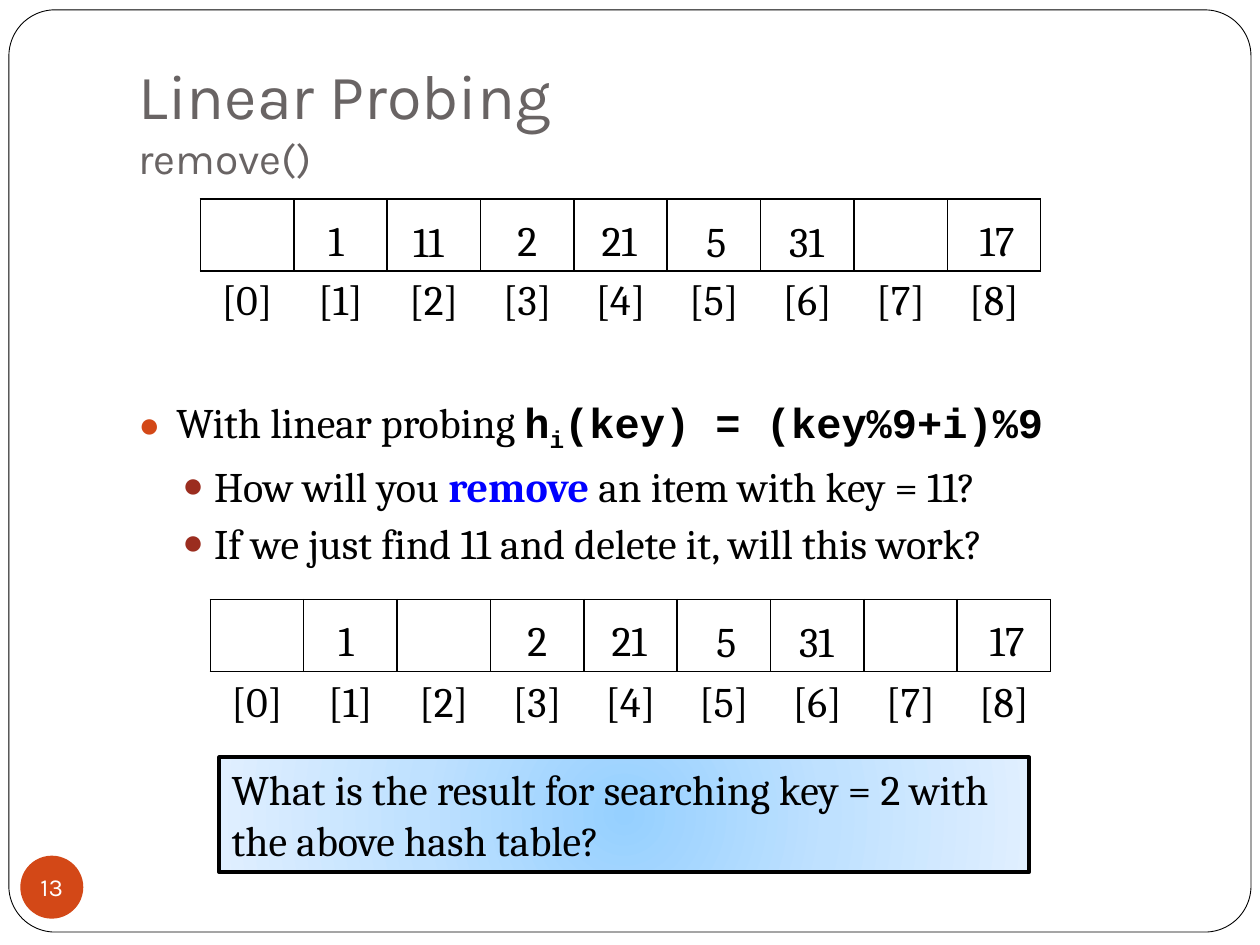
from typing import NamedTuple

from lxml.etree import SubElement
from pptx import Presentation
from pptx.dml.color import RGBColor
from pptx.enum.shapes import MSO_SHAPE
from pptx.enum.text import MSO_ANCHOR, MSO_AUTO_SIZE, PP_ALIGN
from pptx.oxml import parse_xml
from pptx.oxml.ns import nsdecls, qn
from pptx.util import Cm, Pt

COLORS = {
    "black": "000000", "white": "FFFFFF", "title": "696464", "accent": "D34817",
    "sub_bullet": "9B2D1F", "emphasis": "0000FF",
    "glow": "96D0FF", "glow_mid": "BFE1FF", "glow_edge": "E0EFFF",
}
BODY = {"name": "Cambria", "size": Pt(24), "bold": False}
CODE = {"name": "Courier New", "size": Pt(24), "bold": True}
STRONG = {**BODY, "bold": True}
TITLE = {"name": "Karla", "size": Pt(36)}
SUBTITLE = {**TITLE, "size": Pt(24.3)}
PAGE_NUMBER = {**TITLE, "size": Pt(14)}
NO_TABLE_STYLE = "{2D5ABB26-0587-4C30-8999-92F81FD0307C}"
SLOTS = 9
TABLE_WIDTH = 16.94


class Key(NamedTuple):
    """A stored key, placed in cm from the table's top left corner."""
    value: str
    left: float
    top: float


class HashTable(NamedTuple):
    left: float
    top: float
    keys: list[Key]


class Span(NamedTuple):
    text: str
    style: dict
    color: str = "black"
    subscript: bool = False


class Bullet(NamedTuple):
    margin: float
    hanging: float
    before: float
    color: str
    spans: list[Span]


KEYS = [
    Key("1", 2.33, 0.18), Key("11", 4.04, 0.2), Key("2", 6.14, 0.18),
    Key("21", 7.84, 0.18), Key("5", 9.95, 0.2), Key("31", 11.62, 0.2),
    Key("17", 15.46, 0.18),
]
TABLES = [
    HashTable(4.04, 4.01, KEYS),
    HashTable(4.24, 12.09, [key for key in KEYS if key.value != "11"]),
]
BULLETS = [
    Bullet(0.76, 0.76, 0, "accent", [
        Span("With linear probing ", BODY), Span("h", CODE),
        Span("i", CODE, subscript=True), Span("(key) = (key%9+i)%9", CODE)]),
    Bullet(1.52, 0.64, 3.7, "sub_bullet", [
        Span("How will you ", BODY), Span("remove", STRONG, "emphasis"),
        Span(" an item with key = 11?", BODY)]),
    Bullet(1.52, 0.64, 3.7, "sub_bullet", [
        Span("If we just find 11 and delete it, will this work?", BODY)]),
]


def rgb(name: str) -> RGBColor:
    return RGBColor.from_string(COLORS[name])


def apply(target, values: dict) -> None:
    for name, value in values.items():
        setattr(target, name, value)


def place(shape, left: float, top: float, width: float, height: float) -> None:
    apply(shape, {"left": Cm(left), "top": Cm(top),
                  "width": Cm(width), "height": Cm(height)})


def add_span(para, span: Span) -> None:
    run = para.add_run()
    run.text = span.text
    apply(run.font, span.style)
    run.font.color.rgb = rgb(span.color)
    if span.subscript:
        run.font._element.set("baseline", "-25000")


def add_shape(page, kind, box: tuple, fill: str, line_width: float = 0):
    shape = page.shapes.add_shape(kind, *map(Cm, box))
    shape.shadow.inherit = False
    shape.fill.solid()
    shape.fill.fore_color.rgb = rgb(fill)
    if line_width:
        shape.line.color.rgb = rgb("black")
        shape.line.width = Pt(line_width)
    else:
        shape.line.fill.background()
    return shape


def add_row(page, left: float, top: float, height: float):
    """Add a one-row table with a cell for each slot and no style."""
    frame = page.shapes.add_table(
        1, SLOTS, Cm(left), Cm(top), Cm(TABLE_WIDTH), Cm(height))
    table = frame.table
    apply(table, {"first_row": False, "horz_banding": False})
    table._tbl.tblPr.find(qn("a:tableStyleId")).text = NO_TABLE_STYLE
    for cell in table.iter_cells():
        cell.fill.background()
    return table


def add_borders(cell) -> None:
    properties = cell._tc.get_or_add_tcPr()
    for index, side in enumerate(("lnL", "lnR", "lnT", "lnB")):
        properties.insert(index, parse_xml(
            f'<a:{side} {nsdecls("a")} w="12700"><a:solidFill>'
            f'<a:srgbClr val="{COLORS["black"]}"/></a:solidFill></a:{side}>'))


def draw_hash_table(page, hash_table: HashTable) -> None:
    for cell in add_row(page, hash_table.left, hash_table.top, 1.45).iter_cells():
        add_borders(cell)
    labels = add_row(page, hash_table.left, hash_table.top + 1.46, 1.04)
    for index, cell in enumerate(labels.iter_cells()):
        cell.vertical_anchor = MSO_ANCHOR.MIDDLE
        para = cell.text_frame.paragraphs[0]
        para.alignment = PP_ALIGN.CENTER
        add_span(para, Span(f"[{index}]", BODY))
    for key in hash_table.keys:
        width = 0.91 if len(key.value) == 1 else 1.3
        box = page.shapes.add_textbox(
            Cm(hash_table.left + key.left), Cm(hash_table.top + key.top),
            Cm(width), Cm(1.27))
        apply(box.text_frame, {"word_wrap": False,
                               "auto_size": MSO_AUTO_SIZE.SHAPE_TO_FIT_TEXT})
        add_span(box.text_frame.paragraphs[0], Span(key.value, BODY))


def write_bullet(para, bullet: Bullet) -> None:
    para.space_before = Pt(bullet.before)
    properties = para._p.get_or_add_pPr()
    properties.set("marL", str(Cm(bullet.margin)))
    properties.set("indent", str(-Cm(bullet.hanging)))
    color = SubElement(properties, qn("a:buClr"))
    SubElement(color, qn("a:srgbClr"), val=COLORS[bullet.color])
    SubElement(properties, qn("a:buSzPct"), val="85000")
    SubElement(properties, qn("a:buFont"), typeface="Arial")
    SubElement(properties, qn("a:buChar"), char="●")
    for span in bullet.spans:
        add_span(para, span)


def write_title(title) -> None:
    place(title, 2.54, 0.76, 21.59, 3.18)
    apply(title.text_frame, {
        "vertical_anchor": MSO_ANCHOR.BOTTOM, "auto_size": MSO_AUTO_SIZE.NONE,
        "margin_bottom": Cm(0.25)})
    para = title.text_frame.paragraphs[0]
    para.alignment = PP_ALIGN.LEFT
    add_span(para, Span("Linear Probing", TITLE, "title"))
    para.add_line_break()
    add_span(para, Span("remove()", SUBTITLE, "title"))


def write_body(body) -> None:
    place(body, 2.54, 4.01, 21.59, 12.7)
    apply(body.text_frame, {"auto_size": MSO_AUTO_SIZE.NONE, "margin_top": Cm(3.98)})
    for index, bullet in enumerate(BULLETS):
        frame = body.text_frame
        write_bullet(frame.add_paragraph() if index else frame.paragraphs[0], bullet)


def add_page_number(page) -> None:
    badge = add_shape(page, MSO_SHAPE.OVAL, (0.41, 17.25, 1.27, 1.27), "accent")
    apply(badge.text_frame, {
        "word_wrap": False, "vertical_anchor": MSO_ANCHOR.MIDDLE,
        "margin_left": 0, "margin_right": 0, "margin_top": 0, "margin_bottom": 0})
    para = badge.text_frame.paragraphs[0]
    para.alignment = PP_ALIGN.CENTER
    add_span(para, Span("13", PAGE_NUMBER, "white"))


def add_question(page) -> None:
    box = add_shape(page, MSO_SHAPE.RECTANGLE, (4.42, 15.27, 16.33, 2.31), "glow", 2.25)
    stops = "".join(
        f'<a:gs pos="{position}"><a:srgbClr val="{COLORS[name]}"/></a:gs>'
        for position, name in ((0, "glow"), (50000, "glow_mid"), (100000, "glow_edge")))
    solid = box._element.spPr.find(qn("a:solidFill"))
    solid.getparent().replace(solid, parse_xml(
        f'<a:gradFill {nsdecls("a")}><a:gsLst>{stops}</a:gsLst><a:path path="circle">'
        '<a:fillToRect l="50000" t="50000" r="50000" b="50000"/></a:path></a:gradFill>'))
    apply(box.text_frame, {"word_wrap": True, "vertical_anchor": MSO_ANCHOR.TOP,
                           "auto_size": MSO_AUTO_SIZE.SHAPE_TO_FIT_TEXT})
    para = box.text_frame.paragraphs[0]
    para.alignment = PP_ALIGN.LEFT
    add_span(para, Span(
        "What is the result for searching key = 2 with the above hash table?", BODY))


def main() -> None:
    deck = Presentation()
    apply(deck, {"slide_width": Cm(25.4), "slide_height": Cm(19.05)})
    page = deck.slides.add_slide(deck.slide_layouts[1])
    title, body = page.placeholders
    border = add_shape(page, MSO_SHAPE.ROUNDED_RECTANGLE,
                       (0.18, 0.2, 25.04, 18.59), "white", 0.5)
    border.adjustments[0] = 0.05
    title._element.addprevious(border._element)
    write_title(title)
    write_body(body)
    add_page_number(page)
    for hash_table in TABLES:
        draw_hash_table(page, hash_table)
    add_question(page)
    deck.save("out.pptx")


if __name__ == "__main__":
    main()
